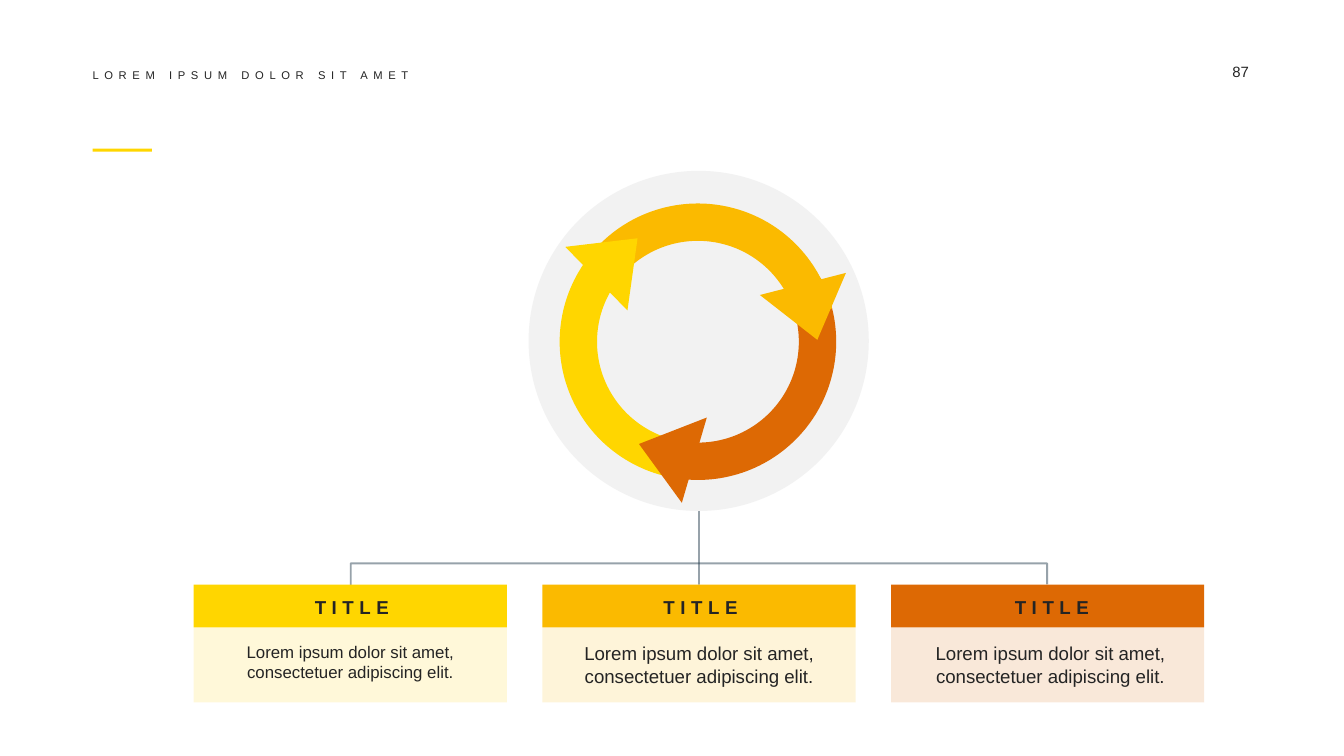
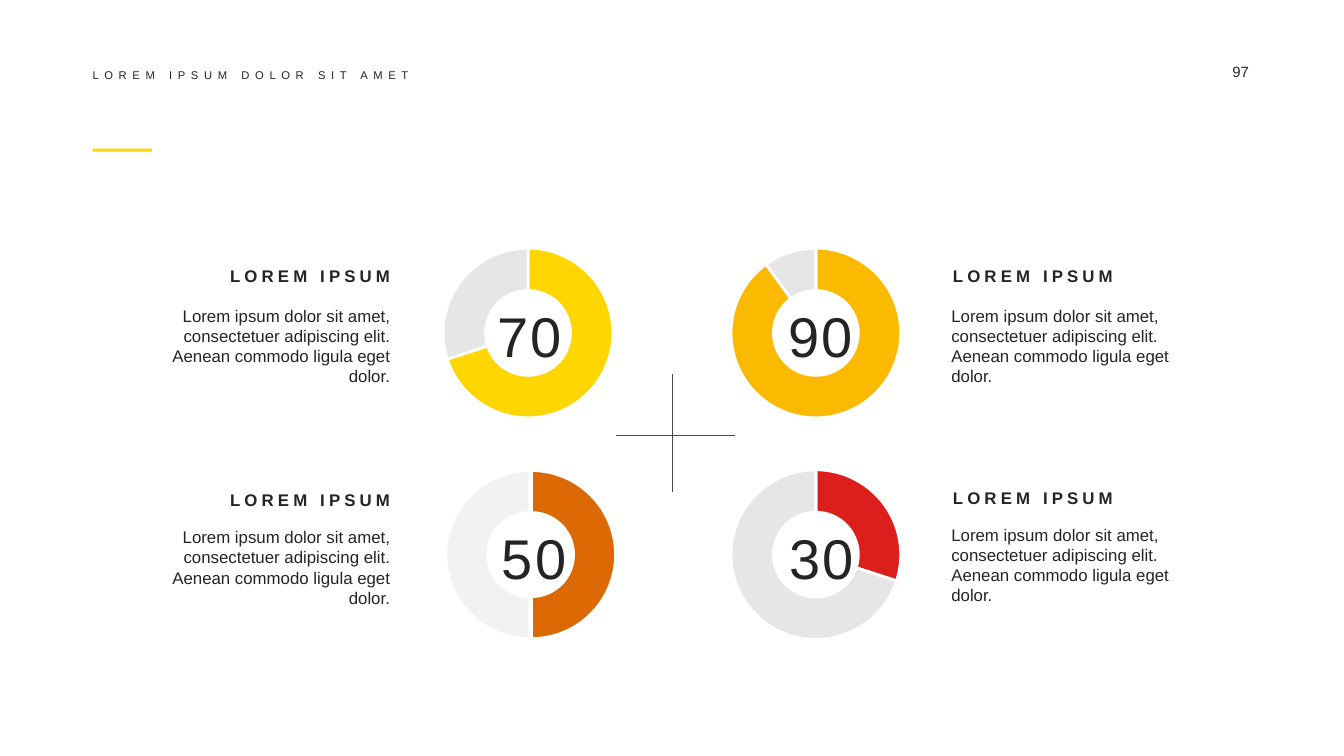
from typing import NamedTuple

from lxml.etree import SubElement
from pptx import Presentation
from pptx.chart.data import CategoryChartData
from pptx.dml.color import RGBColor
from pptx.enum.chart import XL_CHART_TYPE as ChartType
from pptx.enum.shapes import MSO_CONNECTOR as Link, MSO_SHAPE as Shape
from pptx.enum.text import MSO_ANCHOR as Anchor, MSO_AUTO_SIZE as AutoSize, PP_ALIGN as Align
from pptx.oxml.ns import qn
from pptx.util import Cm, Pt

YELLOW = RGBColor(0xFF, 0xD6, 0x00)
AMBER = RGBColor(0xFB, 0xBA, 0x00)
ORANGE = RGBColor(0xDD, 0x69, 0x04)
RED = RGBColor(0xDC, 0x1F, 0x1C)
INK = RGBColor(0x24, 0x24, 0x24)
GREY = RGBColor(0x48, 0x48, 0x48)
SILVER = RGBColor(0xE7, 0xE6, 0xE6)
PALE = RGBColor(0xF2, 0xF2, 0xF2)
NAVY = RGBColor(0x1D, 0x36, 0x47)
WHITE = RGBColor(0xFF, 0xFF, 0xFF)

FONT = "Arial"
HEADER = "LOREM IPSUM DOLOR SIT AMET"
SHORT_TEXT = "Lorem ipsum dolor sit amet, consectetuer adipiscing elit."
LONG_TEXT = SHORT_TEXT + " Aenean commodo ligula eget dolor."

BODY = {"size": Pt(9)}
LARGE_BODY = {"size": Pt(10)}
HEADING = {"size": Pt(9), "bold": True}
PANEL_TITLE = {"size": Pt(10), "bold": True}
FIGURE = {"size": Pt(30)}
RUNNING_HEAD = {"size": Pt(6)}
PAGE_NUMBER = {"size": Pt(8)}


class Gauge(NamedTuple):
    """A doughnut with its figure and the places of its texts, in cm."""

    value: int
    color: RGBColor
    rest: RGBColor
    left: float
    top: float
    figure_left: float
    body_top: float
    heading_top: float
    explosion: int = 0


GAUGES = (
    Gauge(70, YELLOW, SILVER, 7.62, 4.34, 8.53, 5.77, 5.03),
    Gauge(90, AMBER, SILVER, 13.06, 4.34, 14.02, 5.77, 5.03),
    Gauge(50, ORANGE, PALE, 7.67, 8.53, 8.61, 9.96, 9.25, 2),
    Gauge(30, RED, SILVER, 13.06, 8.53, 14.05, 9.91, 9.22),
)


def set_alpha(color_format, percent):
    """Make a solid colour partly transparent."""
    color = color_format._xFill.find(qn("a:srgbClr"))
    SubElement(color, qn("a:alpha")).set("val", str(percent * 1000))


def add_shape(shapes, kind, frame, color, alpha=None, rotation=0):
    """Add a filled shape without outline or shadow."""
    shape = shapes.add_shape(kind, *map(Cm, frame))
    shape.shadow.inherit = False
    shape.fill.solid()
    shape.fill.fore_color.rgb = color
    shape.line.fill.background()
    shape.rotation = rotation
    if alpha:
        set_alpha(shape.fill.fore_color, alpha)
    return shape


def add_arc(shapes, frame, color, start, end, rotation):
    """Add a thick arc between two angles in degrees."""
    arc = add_shape(shapes, Shape.ARC, frame, color, rotation=rotation)
    arc.fill.background()
    arc.line.color.rgb = color
    arc.line.width = Pt(20)
    for index, angle in enumerate((start, end)):
        arc.adjustments[index] = angle * 0.6


def add_line(page, kind, start, end, color, width, alpha=None):
    """Add a connector without shadow."""
    line = page.shapes.add_connector(kind, *map(Cm, start + end))
    line.line.color.rgb = color
    line.line.width = Pt(width)
    if alpha:
        set_alpha(line.line.color, alpha)
    SubElement(line._element.spPr, qn("a:effectLst"))
    return line


def add_bracket(page, center, span, skew, rise):
    """Add an elbow connector turned into a bracket above two panels."""
    x, y = center
    start, end = (x + skew / 2, y + span / 2), (x - skew / 2, y - span / 2)
    line = add_line(page, Link.ELBOW, start, end, NAVY, 1, 45)
    properties = line._element.spPr
    properties.find(qn("a:xfrm")).set("rot", str(90 * 60000))
    adjustments = properties.find(qn("a:prstGeom")).find(qn("a:avLst"))
    guide = SubElement(adjustments, qn("a:gd"))
    guide.set("name", "adj1")
    guide.set("fmla", f"val {round(rise / skew * 100000)}")


def add_text(page, frame, text, style, align=Align.LEFT, spacing=0,
             wrap=True, inset=True, anchor=Anchor.TOP, grow=True):
    """Add a text box holding one styled paragraph."""
    box = page.shapes.add_textbox(*map(Cm, frame))
    text_frame = box.text_frame
    settings = {"word_wrap": wrap, "vertical_anchor": anchor}
    settings["auto_size"] = AutoSize.SHAPE_TO_FIT_TEXT if grow else AutoSize.NONE
    if not inset:
        settings |= {f"margin_{side}": 0 for side in ("left", "top", "right", "bottom")}
    for name, value in settings.items():
        setattr(text_frame, name, value)
    para = text_frame.paragraphs[0]
    para.alignment = align
    span = para.add_run()
    span.text = text
    for name, value in ({"name": FONT} | style).items():
        setattr(span.font, name, value)
    span.font.color.rgb = INK
    if spacing:
        span.font._element.set("spc", str(round(spacing * 100)))


def add_page(deck, number):
    """Add a blank page with accent bar, running head and page number."""
    page = deck.slides.add_slide(deck.slide_layouts[6])
    add_shape(page.shapes, Shape.RECTANGLE, (1.75, 2.81, 1.12, 0.06), YELLOW)
    add_text(page, (23.29, 1.19, 1.09, 0.41), str(number), PAGE_NUMBER,
             inset=False, grow=False)
    add_text(page, (1.75, 1.3, 18.21, 0.25), HEADER, RUNNING_HEAD,
             spacing=3, inset=False, anchor=Anchor.MIDDLE)
    return page


def add_panel(page, left, color, style, nudge):
    """Add a titled panel with a tinted body."""
    add_shape(page.shapes, Shape.RECTANGLE, (left, 11.05, 5.92, 0.81), color)
    add_shape(page.shapes, Shape.RECTANGLE, (left, 11.86, 5.92, 1.42), color, 15)
    add_text(page, (left + nudge, 12.01, 5.92, 1.1), SHORT_TEXT, style, Align.CENTER)
    add_text(page, (left + 1.95 + nudge, 11.13, 2.08, 0.71), "TITLE", PANEL_TITLE,
             Align.CENTER, spacing=3, wrap=False)


def add_cycle(page):
    """Add the ring of three arrows on its disc."""
    shapes = page.shapes.add_group_shape().shapes
    add_shape(shapes, Shape.OVAL, (9.99, 3.23, 6.43, 6.43), PALE)
    for color, start, end, rotation in (
        (ORANGE, 212.4, 339.03, 120),
        (AMBER, 218.75, 346.25, 0),
        (YELLOW, 216.83, 340.64, 240),
    ):
        add_arc(shapes, (10.93, 4.2, 4.52, 4.52), color, start, end, rotation)
    for color, left, top, rotation in (
        (AMBER, 14.47, 5.35, 165.6),
        (YELLOW, 10.82, 4.34, 45.6),
        (ORANGE, 11.76, 8, 286.3),
    ):
        add_shape(shapes, Shape.ISOSCELES_TRIANGLE, (left, top, 1.68, 1.09),
                  color, rotation=rotation)


def add_doughnut(page, gauge):
    """Add a two-part doughnut chart."""
    data = CategoryChartData()
    data.categories = ["1", "2"]
    data.add_series("Series 1", (gauge.value, 100 - gauge.value))
    frame = map(Cm, (gauge.left, gauge.top, 4.72, 3.91))
    chart = page.shapes.add_chart(ChartType.DOUGHNUT, *frame, data).chart
    chart.has_legend = chart.has_title = False
    for name, value in {"name": FONT, "size": Pt(10)}.items():
        setattr(chart.font, name, value)
    chart.font.color.rgb = GREY
    plot = chart.plots[0]
    plot.vary_by_categories = True
    plot._element.find(qn("c:holeSize")).set("val", "85")
    series = plot.series[0]
    if gauge.explosion:
        explosion = SubElement(series._element, qn("c:explosion"))
        explosion.set("val", str(gauge.explosion))
        series._element.find(qn("c:cat")).addprevious(explosion)
    for index, color in enumerate((gauge.color, gauge.rest)):
        look = series.points[index].format
        look.fill.solid()
        look.fill.fore_color.rgb = color
        look.line.color.rgb = WHITE
        look.line.width = Pt(1.5)
    if gauge.explosion:
        series._element.find(qn("c:dPt")).addprevious(explosion)


def add_gauge(page, gauge, on_left):
    """Add a doughnut with its figure, heading and description."""
    add_doughnut(page, gauge)
    add_text(page, (gauge.figure_left, gauge.top + 1.24, 2.97, 1.55),
             str(gauge.value), FIGURE, Align.CENTER, spacing=1.1)
    align = Align.RIGHT if on_left else Align.LEFT
    body_left, width, heading_left = (3.15, 4.22, 4.22) if on_left else (17.98, 4.57, 18.01)
    add_text(page, (body_left, gauge.body_top, width, 1.55), LONG_TEXT, BODY,
             align, inset=False)
    add_text(page, (heading_left, gauge.heading_top, 3.15, 0.38), "LOREM IPSUM",
             HEADING, align, spacing=2.2, wrap=False, inset=False)


def build_cycle_page(deck):
    """Build the page with the arrow cycle and three panels."""
    page = add_page(deck, 87)
    add_bracket(page, (13.21, 11.06), span=13.16, skew=0.02, rise=0.42)
    add_line(page, Link.STRAIGHT, (13.21, 9.65), (13.21, 11.05), NAVY, 1, 45)
    panels = ((YELLOW, BODY, 0), (AMBER, LARGE_BODY, 0), (ORANGE, LARGE_BODY, 0.05))
    for index, panel in enumerate(panels):
        add_panel(page, 3.66 + 6.59 * index, *panel)
    add_cycle(page)


def build_gauge_page(deck):
    """Build the page with four doughnuts around a cross."""
    page = add_page(deck, 97)
    for index, gauge in enumerate(GAUGES):
        add_gauge(page, gauge, on_left=index % 2 == 0)
    add_line(page, Link.STRAIGHT, (12.71, 7.07), (12.71, 9.3), GREY, 0.5)
    add_line(page, Link.STRAIGHT, (13.89, 8.23), (11.64, 8.23), GREY, 0.5)


def main():
    """Build and save the deck."""
    deck = Presentation()
    deck.slide_width, deck.slide_height = Cm(25.4), Cm(14.29)
    build_cycle_page(deck)
    build_gauge_page(deck)
    deck.save("out.pptx")


if __name__ == "__main__":
    main()
